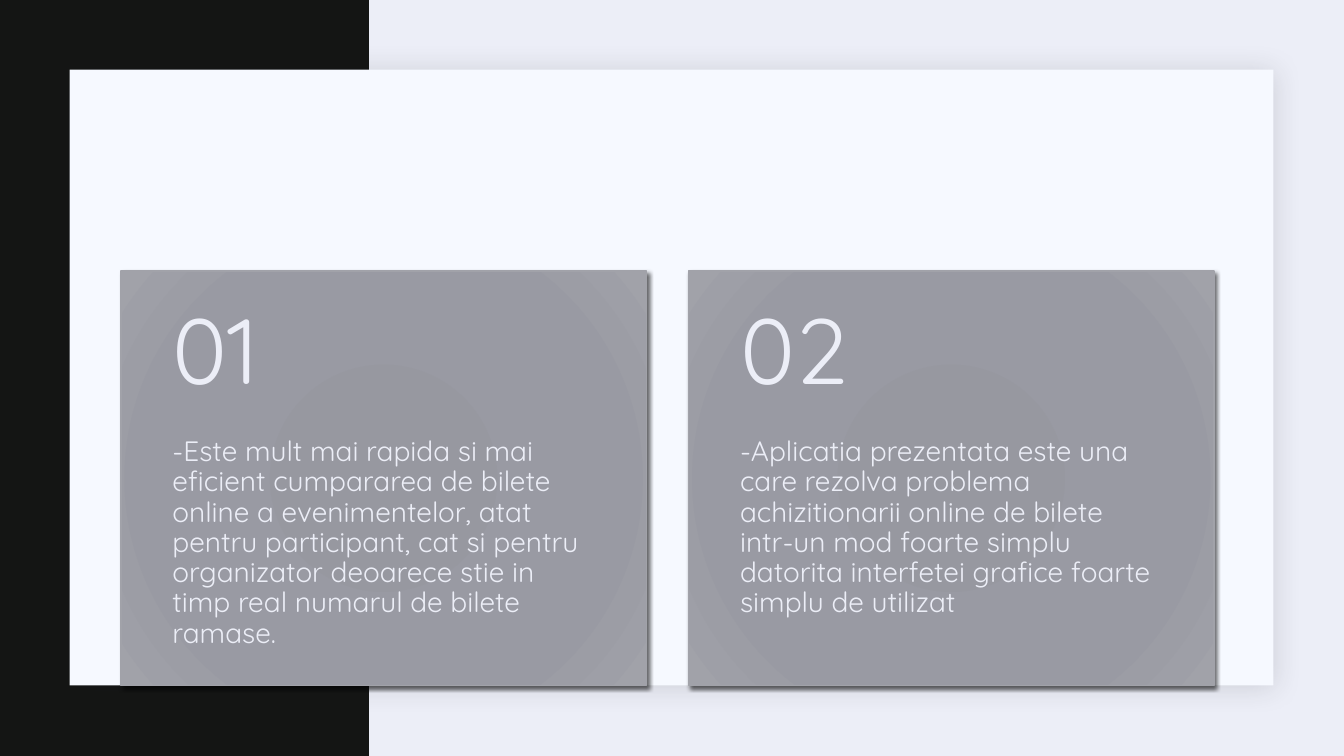
from lxml import etree
from pptx import Presentation
from pptx import util as u
from pptx.dml.color import RGBColor
from pptx.enum import shapes, text
from pptx.oxml import ns

HUES = {
    "back": "ECEEF7", "band": "141514", "panel": "F6F9FF",
    "text": "ECEEF7", "edge": "A1A2A9", "soft": "1F2125", "hard": "000000",
}
STOPS = [(0, "95969F"), (34, "9798A0"), (70, "999AA3"), (100, "A1A2A9")]
CARDS = [
    ("01", "-Este mult mai rapida si mai eficient cumpararea de bilete online a "
           "evenimentelor, atat pentru participant, cat si pentru organizator "
           "deoarece stie in timp real numarul de bilete ramase."),
    ("02", "-Aplicatia prezentata este una care rezolva problema achizitionarii "
           "online de bilete intr-un mod foarte simplu datorita interfetei grafice "
           "foarte simplu de utilizat"),
]


def node(root, tag, **attrs):
    """Append a DrawingML child such as a:gs and return it."""
    return etree.SubElement(root, ns.qn(tag), {k: str(v) for k, v in attrs.items()})


class Deck:
    font = "Quicksand"

    def __init__(self, wide, high):
        self.prs = Presentation()
        self.prs.slide_width = u.Inches(wide)
        self.prs.slide_height = u.Inches(high)
        self.slide = self.prs.slides.add_slide(self.prs.slide_layouts[6])
        self.paint(self.slide.background.fill, "back")

    def paint(self, fill, hue):
        fill.solid()
        fill.fore_color.rgb = RGBColor.from_string(HUES[hue])

    def rect(self, box, hue):
        shape = self.slide.shapes.add_shape(
            shapes.MSO_SHAPE.RECTANGLE, *map(u.Inches, box))
        shape.shadow.inherit = False
        shape.line.fill.background()
        self.paint(shape.fill, hue)
        return shape

    def shade(self, shape, hue, alpha, blur):
        """Cast a shadow down and to the right; alpha in percent, blur in points."""
        cast = node(shape._element.spPr.find(ns.qn("a:effectLst")), "a:outerShdw",
                    blurRad=u.Pt(blur), dist=u.Pt(2), dir=45 * 60000,
                    algn="tl", rotWithShape=0)
        tint = node(cast, "a:srgbClr", val=HUES[hue])
        node(tint, "a:alpha", val=alpha * 1000)

    def glow(self, shape):
        """Swap the solid fill for a circular gradient."""
        solid = shape._element.spPr.find(ns.qn("a:solidFill"))
        grad = etree.Element(ns.qn("a:gradFill"), rotWithShape="1")
        stops = node(grad, "a:gsLst")
        for pos, tone in STOPS:
            node(node(stops, "a:gs", pos=pos * 1000), "a:srgbClr", val=tone)
        ring = node(grad, "a:path", path="circle")
        node(ring, "a:fillToRect", **dict.fromkeys("ltrb", 100000))
        solid.getparent().replace(solid, grad)

    def label(self, box, words, size, top, base, anchor):
        frame = self.slide.shapes.add_textbox(*map(u.Inches, box)).text_frame
        frame.word_wrap = True
        frame.vertical_anchor = anchor
        frame.margin_left = frame.margin_right = u.Inches(0.51)
        frame.margin_top, frame.margin_bottom = u.Inches(top), u.Inches(base)
        para = frame.paragraphs[0]
        para.text = words
        para.line_spacing = 0.9
        para.font.name, para.font.size = self.font, u.Pt(size)
        para.font.color.rgb = RGBColor.from_string(HUES["text"])

    def card(self, left, num, words):
        top, wide, high, head = 2.69, 5.21, 4.11, 1.65
        tile = self.rect((left, top, wide, high), "edge")
        self.glow(tile)
        self.paint(tile.line.fill, "edge")
        tile.line.width = u.Pt(1)
        self.shade(tile, "hard", 60, 3)
        self.label((left, top + head, wide, high - head), words, 20,
                   0, 0.36, text.MSO_ANCHOR.TOP)
        self.label((left, top, wide, head), num, 66,
                   0.18, 0.18, text.MSO_ANCHOR.MIDDLE)


def main():
    deck = Deck(13.33, 7.5)
    deck.rect((0, 0, 3.66, 7.5), "band")
    panel = deck.rect((0.69, 0.69, 11.94, 6.11), "panel")
    deck.shade(panel, "soft", 15, 20)
    for i, (num, words) in enumerate(CARDS):
        deck.card(1.2 + 5.63 * i, num, words)
    deck.prs.save("out.pptx")


if __name__ == "__main__":
    main()
